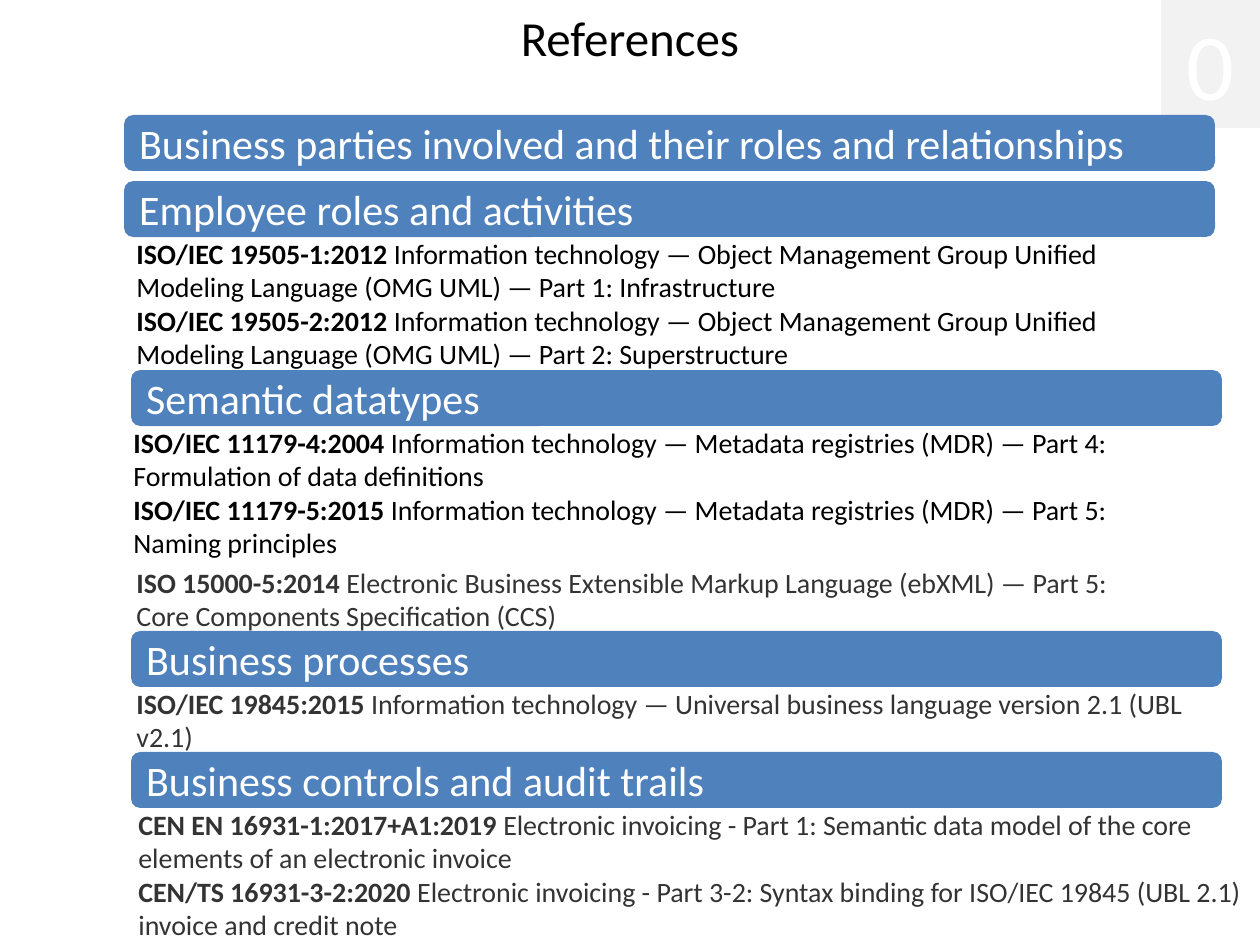
"""Build the references slide."""
from pptx import Presentation, util as u
from pptx.dml.color import RGBColor
from pptx.enum import shapes, text

PX = 914400 / 126
FONT = "Calibri"
COLORS = {"white": "FFFFFF", "black": "000000", "gray": "333333",
          "pale": "F2F2F2", "blue": "4F81BD"}
BANNERS = [
    ("Semantic datatypes", 131, 370),
    ("Business controls and audit trails", 131, 752),
    ("Business processes", 131, 631),
    ("Business parties involved and their roles and relationships", 124, 115),
    ("Employee roles and activities", 124, 181),
]
EBXML = [
    ("ISO 15000-5:2014 ", "Electronic Business Extensible Markup Language (ebXML) — Part 5:"),
    ("", "Core Components Specification (CCS)"),
]
UBL = [("ISO/IEC 19845:2015 ",
        "Information technology — Universal business language version 2.1 (UBL v2.1)")]
INVOICE = [
    ("CEN EN 16931-1:2017+A1:2019 ",
     "Electronic invoicing - Part 1: Semantic data model of the core elements of an electronic invoice"),
    ("CEN/TS 16931-3-2:2020 ",
     "Electronic invoicing - Part 3-2: Syntax binding for ISO/IEC 19845 (UBL 2.1) invoice and credit note"),
]
UML = [
    ("ISO/IEC 19505-1:2012 ",
     "Information technology — Object Management Group Unified Modeling Language (OMG UML) — Part 1: Infrastructure"),
    ("ISO/IEC 19505-2:2012 ",
     "Information technology — Object Management Group Unified Modeling Language (OMG UML) — Part 2: Superstructure"),
]
MDR = [
    ("ISO/IEC 11179-4:2004 ",
     "Information technology — Metadata registries (MDR) — Part 4: Formulation of data definitions"),
    ("ISO/IEC 11179-5:2015 ",
     "Information technology — Metadata registries (MDR) — Part 5: Naming principles"),
]


def scale(*sizes):
    """Turn pixel lengths into EMU."""
    return [u.Emu(round(size * PX)) for size in sizes]


def rgb(name):
    """Look up a named colour."""
    return RGBColor.from_string(COLORS[name])


def style(run, size, color, bold=False):
    """Set the font of a run."""
    font = run.font
    font.name, font.size, font.bold = FONT, u.Pt(size), bold
    font.color.rgb = rgb(color)


def label(frame, words, size, color, align):
    """Write one styled line into a text frame."""
    frame.text = words
    line = frame.paragraphs[0]
    line.alignment = align
    style(line.runs[0], size, color)


def add_box(slide, kind, box, fill, edge=None):
    """Add a flat filled shape."""
    shape = slide.shapes.add_shape(kind, *scale(*box))
    shape.shadow.inherit = False
    shape.fill.solid()
    shape.fill.fore_color.rgb = rgb(fill)
    if edge:
        shape.line.color.rgb = rgb(edge)
        shape.line.width = u.Pt(0.75)
    else:
        shape.line.fill.background()
    return shape


def add_corner(slide):
    """Add the number block in the top right corner."""
    shape = add_box(slide, shapes.MSO_SHAPE.RECTANGLE, (1162, 0, 98, 127), "pale", "pale")
    frame = shape.text_frame
    frame.vertical_anchor = text.MSO_ANCHOR.TOP
    label(frame, "0", 54, "white", text.PP_ALIGN.CENTER)


def add_title(slide):
    """Add the slide title."""
    frame = slide.shapes.add_textbox(*scale(95, 0, 1070, 66)).text_frame
    frame.margin_left = frame.margin_right = frame.margin_top = frame.margin_bottom = 0
    frame.word_wrap = True
    frame.vertical_anchor = text.MSO_ANCHOR.BOTTOM
    label(frame, "References", 28, "black", text.PP_ALIGN.CENTER)


def add_banner(slide, words, left, top):
    """Add a blue section heading."""
    box = left, top, 1091, 56
    shape = add_box(slide, shapes.MSO_SHAPE.ROUNDED_RECTANGLE, box, "blue")
    frame = shape.text_frame
    frame.vertical_anchor = text.MSO_ANCHOR.MIDDLE
    label(frame, words, 24, "white", text.PP_ALIGN.LEFT)


def add_refs(slide, refs, box, color, fill=None):
    """Add a list of standards with bold codes."""
    if fill:
        shape = add_box(slide, shapes.MSO_SHAPE.RECTANGLE, box, fill)
    else:
        shape = slide.shapes.add_textbox(*scale(*box))
    frame = shape.text_frame
    frame.word_wrap = True
    frame.auto_size = text.MSO_AUTO_SIZE.SHAPE_TO_FIT_TEXT
    frame.vertical_anchor = text.MSO_ANCHOR.TOP
    for i, (code, name) in enumerate(refs):
        line = frame.add_paragraph() if i else frame.paragraphs[0]
        line.alignment = text.PP_ALIGN.LEFT
        for words, bold in ((code, True), (name, False)):
            if words:
                run = line.add_run()
                run.text = words
                style(run, 16, color, bold)


def main():
    """Build and save the slide."""
    deck = Presentation()
    deck.slide_width, deck.slide_height = scale(1260, 945)
    slide = deck.slides.add_slide(deck.slide_layouts[6])
    add_corner(slide)
    add_title(slide)
    add_refs(slide, EBXML, (124, 559, 1101, 81), "gray")
    add_refs(slide, UBL, (124, 680, 1091, 81), "gray")
    add_refs(slide, INVOICE, (126, 801, 1134, 148), "gray", "white")
    for banner in BANNERS:
        add_banner(slide, *banner)
    add_refs(slide, UML, (124, 230, 1091, 148), "black")
    add_refs(slide, MDR, (121, 419, 1091, 148), "black")
    deck.save("out.pptx")


if __name__ == "__main__":
    main()
